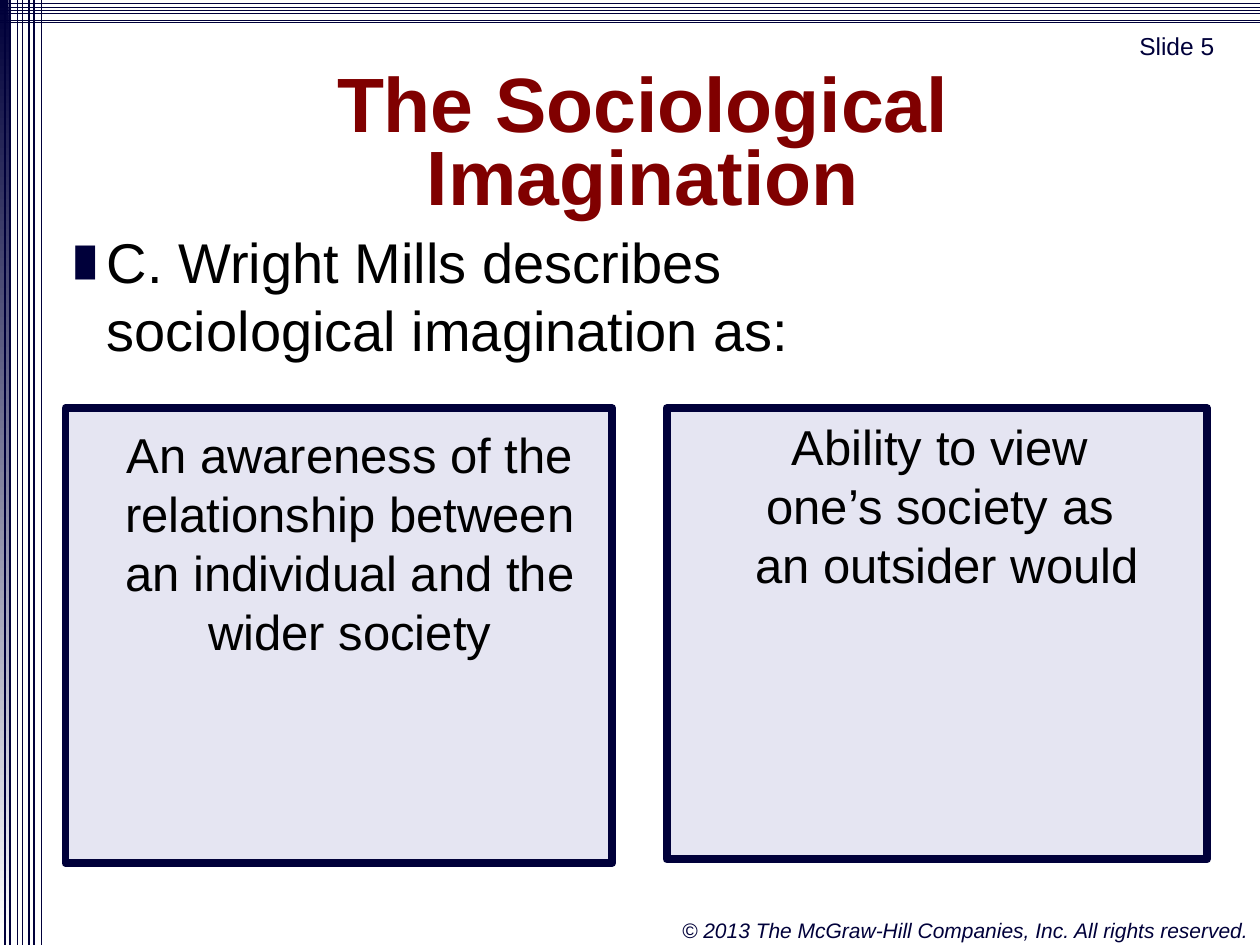
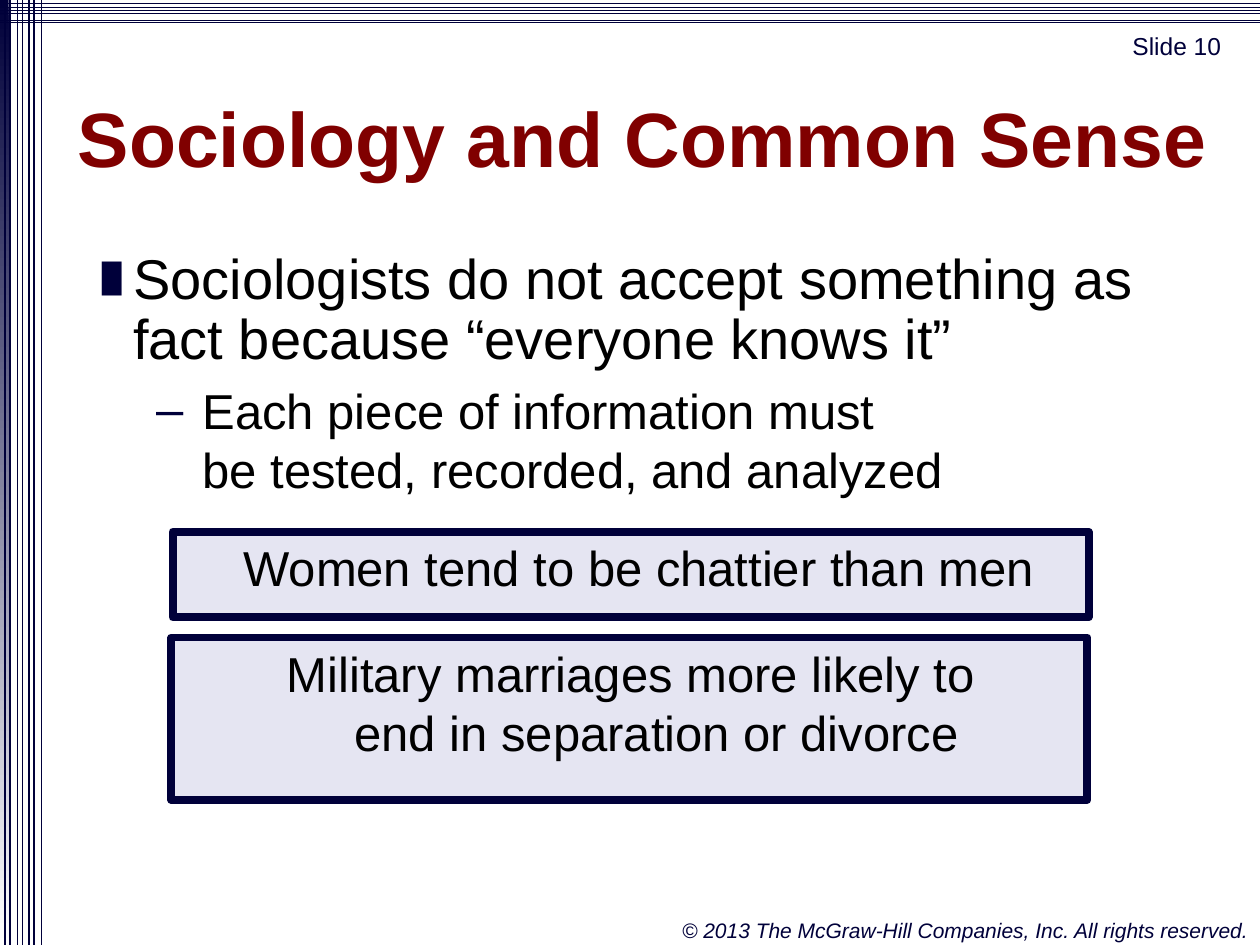
from dataclasses import dataclass

from lxml import etree
from pptx import Presentation
from pptx.dml.color import RGBColor
from pptx.enum.shapes import MSO_CONNECTOR, MSO_SHAPE
from pptx.enum.text import MSO_ANCHOR, MSO_AUTO_SIZE, PP_ALIGN
from pptx.oxml.ns import qn
from pptx.util import Emu, Pt

LEFT, CENTER, RIGHT = PP_ALIGN.LEFT, PP_ALIGN.CENTER, PP_ALIGN.RIGHT
TOP, MIDDLE = MSO_ANCHOR.TOP, MSO_ANCHOR.MIDDLE
RECT, STRAIGHT = MSO_SHAPE.RECTANGLE, MSO_CONNECTOR.STRAIGHT
NO_FIT = MSO_AUTO_SIZE.NONE

# Shared look; 100 px to the inch
PX = 9144
W, H = 1000, 750
FONT = "Arial"
NAVY, BLUE, MAROON = "00003A", "000080", "800000"
BLACK, WHITE = "000000", "FFFFFF"
PANEL_OPACITY = 10
FOOTER = "© 2013 The McGraw-Hill Companies, Inc. All rights reserved."
STRIPE_XS = (4, 8, 14, 18, 23, 27, 33)
STRIPE_YS = (3, 6, 8, 11, 16, 18)


@dataclass(frozen=True)
class Box:
    x: int
    y: int
    w: int
    h: int

    def emu(self) -> tuple:
        return tuple(px(v) for v in (self.x, self.y, self.w, self.h))


@dataclass(frozen=True)
class Style:
    size: int
    color: str = BLACK
    bold: bool = False
    italic: bool = False
    align: PP_ALIGN = LEFT
    anchor: MSO_ANCHOR = TOP
    wrap: bool = True
    spacing: float = 1.0
    level: int = 0
    margin: int = 0
    indent: int = 0
    bullet: str = ""
    bullet_pct: int = 100


@dataclass(frozen=True)
class TextItem:
    box: Box
    text: str
    style: Style
    panel: bool = False


TITLE = Style(44, MAROON, bold=True, align=CENTER, anchor=MIDDLE, spacing=0.8)
NUMBER = Style(14, NAVY, align=CENTER, anchor=MIDDLE, wrap=False)
CREDIT = Style(12, NAVY, italic=True, align=RIGHT, wrap=False)
BULLET = Style(32, margin=25, indent=-25, bullet="█", bullet_pct=50)
TIGHT_BULLET = Style(32, margin=25, indent=-25, bullet="█", bullet_pct=50, spacing=0.9)
DASH = Style(28, level=1, margin=74, indent=-37, bullet="–")
RIGHT_CARD = Style(28, align=CENTER, margin=18)
LEFT_CARD = Style(28, align=CENTER, margin=32)
CLAIM = Style(28, align=CENTER, level=1, margin=43, indent=-30)


def px(value: int) -> Emu:
    return Emu(value * PX)


def rgb(color: str) -> RGBColor:
    return RGBColor.from_string(color)


def add_bullet(pPr, style: Style) -> None:
    buClr = etree.SubElement(pPr, qn("a:buClr"))
    etree.SubElement(buClr, qn("a:srgbClr"), val=NAVY)
    etree.SubElement(pPr, qn("a:buSzPct"), val=str(style.bullet_pct * 1000))
    etree.SubElement(pPr, qn("a:buFont"), typeface=FONT)
    etree.SubElement(pPr, qn("a:buChar"), char=style.bullet)


def write(sp, text: str, style: Style) -> None:
    """Fill a shape with one styled paragraph; newlines become line breaks."""
    tf = sp.text_frame
    tf.auto_size = NO_FIT
    tf.word_wrap = style.wrap
    tf.vertical_anchor = style.anchor
    p = tf.paragraphs[0]
    p.text = text.replace("\n", "\v")
    pPr = p._p.get_or_add_pPr()
    pPr.set("marL", str(px(style.margin)))
    pPr.set("indent", str(px(style.indent)))
    if style.bullet:
        add_bullet(pPr, style)
    p.level = style.level
    p.alignment = style.align
    p.line_spacing = style.spacing
    p.space_before = Pt(0)
    for r in p.runs:
        r.font.name = FONT
        r.font.size = Pt(style.size)
        r.font.bold = style.bold
        r.font.italic = style.italic
        r.font.color.rgb = rgb(style.color)


def add_text(s, box: Box, text: str, style: Style) -> None:
    write(s.shapes.add_textbox(*box.emu()), text, style)


def add_panel(s, box: Box):
    """Pale translucent rectangle with a heavy navy border."""
    sp = s.shapes.add_shape(RECT, *box.emu())
    sp.shadow.inherit = False
    sp.fill.solid()
    sp.fill.fore_color.rgb = rgb(BLUE)
    color = sp._element.spPr.find(qn("a:solidFill"))[0]
    etree.SubElement(color, qn("a:alpha"), val=str(PANEL_OPACITY * 1000))
    sp.line.color.rgb = rgb(NAVY)
    sp.line.width = Pt(4.5)
    return sp


def add_stripe(s, x1: int, y1: int, x2: int, y2: int, width: float) -> None:
    line = s.shapes.add_connector(STRAIGHT, px(x1), px(y1), px(x2), px(y2))
    line.line.color.rgb = rgb(NAVY)
    line.line.width = Pt(width)
    etree.SubElement(line._element.spPr, qn("a:effectLst"))


def add_frame(s, number: int) -> None:
    """Gradient edge, stripes, copyright line and slide number."""
    edge = s.shapes.add_shape(RECT, *Box(0, 0, 7, H).emu())
    edge.shadow.inherit = False
    edge.line.fill.background()
    edge.fill.gradient()
    edge.fill.gradient_angle = 270
    for stop, color, position in zip(edge.fill.gradient_stops, (NAVY, WHITE), (0, 1)):
        stop.color.rgb = rgb(color)
        stop.position = position
    for x in STRIPE_XS:
        add_stripe(s, x, H, x, 0, 0.75)
    for y in STRIPE_YS:
        add_stripe(s, 0, y, W, y, 0.5)
    add_text(s, Box(531, 723, 470, 30), FOOTER, CREDIT)
    add_text(s, Box(882, 24, 104, 25), f"Slide {number}", NUMBER)


def add_slide(prs, number: int, title: str, title_h: int, items: list[TextItem]):
    s = prs.slides.add_slide(prs.slide_layouts.get_by_name("Title Only"))
    add_frame(s, number)
    sp = s.shapes.title
    sp.left, sp.top, sp.width, sp.height = Box(40, 35, 941, title_h).emu()
    write(sp, title, TITLE)
    for item in items:
        if item.panel:
            write(add_panel(s, item.box), item.text, item.style)
        else:
            add_text(s, item.box, item.text, item.style)
    return s


def main() -> None:
    prs = Presentation()
    prs.slide_width, prs.slide_height = px(W), px(H)

    # Sociological imagination: two cards with text laid over them
    s = add_slide(prs, 5, "The Sociological\nImagination", 163, [
        TextItem(Box(50, 176, 900, 495),
                 "C. Wright Mills describes \nsociological imagination as:", BULLET),
    ])
    add_panel(s, Box(529, 324, 429, 358))
    add_text(s, Box(527, 326, 431, 392),
             "Ability to view \none’s society as \nan outsider would", RIGHT_CARD)
    add_panel(s, Box(52, 324, 434, 361))
    add_text(s, Box(36, 332, 451, 392),
             "An awareness of the relationship between an individual and the wider society",
             LEFT_CARD)

    # Common sense: bullets above two claims
    add_slide(prs, 10, "Sociology and Common Sense", 160, [
        TextItem(Box(71, 194, 900, 101),
                 "Sociologists do not accept something as fact because “everyone knows it”",
                 TIGHT_BULLET),
        TextItem(Box(77, 297, 867, 300),
                 "Each piece of information must \nbe tested, recorded, and analyzed", DASH),
        TextItem(Box(137, 422, 727, 68), "Women tend to be chattier than men", CLAIM, True),
        TextItem(Box(136, 506, 727, 129),
                 "Military marriages more likely to \nend in separation or divorce", CLAIM, True),
    ])

    prs.save("out.pptx")


if __name__ == "__main__":
    main()
